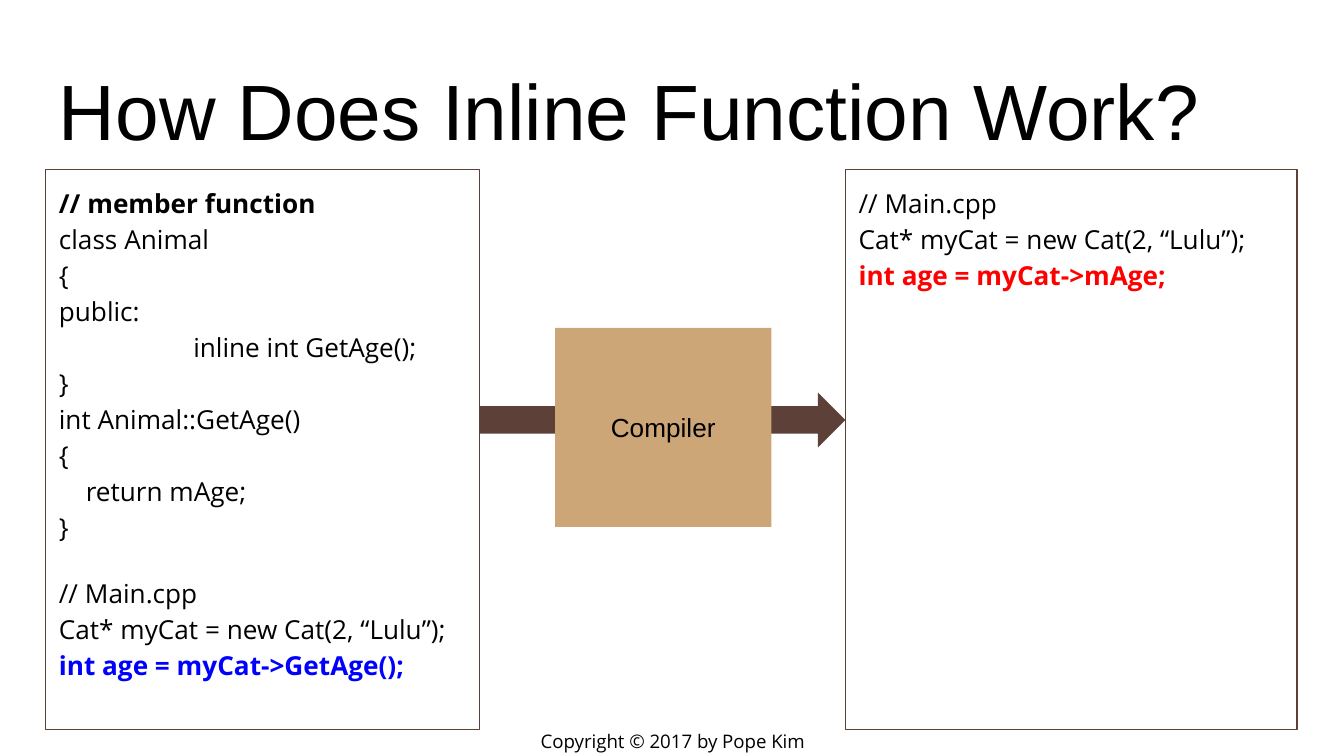
from dataclasses import dataclass

from lxml import etree
from pptx import Presentation
from pptx import util as u
from pptx.dml import color
from pptx.enum import shapes, text
from pptx.oxml import ns


@dataclass(frozen=True)
class Theme:
    ink: str = "000000"
    brown: str = "5D4037"
    tan: str = "CCA677"
    blue: str = "0000FF"
    red: str = "FF0000"
    head: str = "Arial"
    code: str = "Open Sans"
    title: int = 42
    body: int = 14
    foot: int = 10


T = Theme()
WIDE = 10
LEFT, TOP, HIGH = 0.34, 1.26, 4.17
MID = text.MSO_ANCHOR.MIDDLE


def rgb(hue):
    return color.RGBColor.from_string(hue)


def place(box):
    return [u.Inches(n) for n in box]


def set_frame(shape, anchor):
    frame = shape.text_frame
    frame.word_wrap = True
    frame.vertical_anchor = anchor
    frame.margin_left = frame.margin_right = u.Inches(0.1)
    frame.margin_top = frame.margin_bottom = u.Inches(0.1)
    return frame


def add_run(para, words, font, size, hue=T.ink, bold=False):
    run = para.add_run()
    run.text = words
    run.font.name = font
    run.font.size = u.Pt(size)
    run.font.bold = bold
    run.font.color.rgb = rgb(hue)


def add_shape(slide, kind, box, fill=None, line=None):
    shape = slide.shapes.add_shape(kind, *place(box))
    shape.shadow.inherit = False
    if fill:
        shape.fill.solid()
        shape.fill.fore_color.rgb = rgb(fill)
    else:
        shape.fill.background()
    if line:
        shape.line.color.rgb = rgb(line)
        shape.line.width = u.Pt(0.75)
    else:
        shape.line.fill.background()
    return shape


def add_label(shape, words, font, size, anchor=MID,
              align=text.PP_ALIGN.CENTER):
    para = set_frame(shape, anchor).paragraphs[0]
    para.alignment = align
    add_run(para, words, font, size)


def add_tabs(para, stops):
    props = para._p.get_or_add_pPr()
    tabs = etree.SubElement(props, ns.qn("a:tabLst"))
    for stop in stops:
        etree.SubElement(tabs, ns.qn("a:tab"),
                         pos=str(u.Inches(stop)), algn="l")


def add_code(slide, box, blocks):
    """Each block is a paragraph of lines: (words, colour, bold)."""
    shape = add_shape(slide, shapes.MSO_SHAPE.RECTANGLE, box, line=T.brown)
    frame = set_frame(shape, text.MSO_ANCHOR.TOP)
    for i, lines in enumerate(blocks):
        para = frame.add_paragraph() if i else frame.paragraphs[0]
        para.alignment = text.PP_ALIGN.LEFT
        para.line_spacing = 1.15
        para.space_after = u.Pt(16)
        add_tabs(para, (0.2, 1))
        for j, (words, hue, bold) in enumerate(lines):
            if j:
                para.add_line_break()
            add_run(para, words, T.code, T.body, hue, bold)


def plain(*lines):
    return [(line, T.ink, False) for line in lines]


def main():
    # Widescreen, 16 to 9
    deck = Presentation()
    deck.slide_width = u.Inches(WIDE)
    deck.slide_height = u.Inches(WIDE * 9 / 16)
    slide = deck.slides.add_slide(deck.slide_layouts[6])

    # Footer
    foot = slide.shapes.add_textbox(*place((3.77, 5.41, 2.47, 0.21)))
    add_label(foot, "Copyright © 2017 by Pope Kim", T.code, T.foot)

    # Arrow from source to result, behind the compiler
    add_shape(slide, shapes.MSO_SHAPE.RIGHT_ARROW,
              (3.57, 2.92, 2.72, 0.41), fill=T.brown)

    # Title
    title = slide.shapes.add_textbox(*place((LEFT, 0.35, 9.32, 0.91)))
    add_label(title, "How Does Inline Function Work?", T.head, T.title,
              text.MSO_ANCHOR.BOTTOM, text.PP_ALIGN.LEFT)

    # Compiler
    tool = add_shape(slide, shapes.MSO_SHAPE.RECTANGLE,
                     (4.13, 2.44, 1.61, 1.48), fill=T.tan)
    add_label(tool, "Compiler", T.head, T.body)

    # Code after and before inlining
    start = plain("// Main.cpp", "Cat* myCat = new Cat(2, “Lulu”);")
    add_code(slide, (6.29, TOP, 3.36, HIGH),
             [start + [("int age = myCat->mAge;", T.red, True)]])
    member = [("// member function", T.ink, True)] + plain(
        "class Animal", "{", "public:", "\t\tinline int GetAge();", "}",
        "int Animal::GetAge()", "{", "\treturn mAge;", "}")
    add_code(slide, (LEFT, TOP, 3.23, HIGH),
             [member, start + [("int age = myCat->GetAge();", T.blue, True)]])

    deck.save("out.pptx")


if __name__ == "__main__":
    main()
